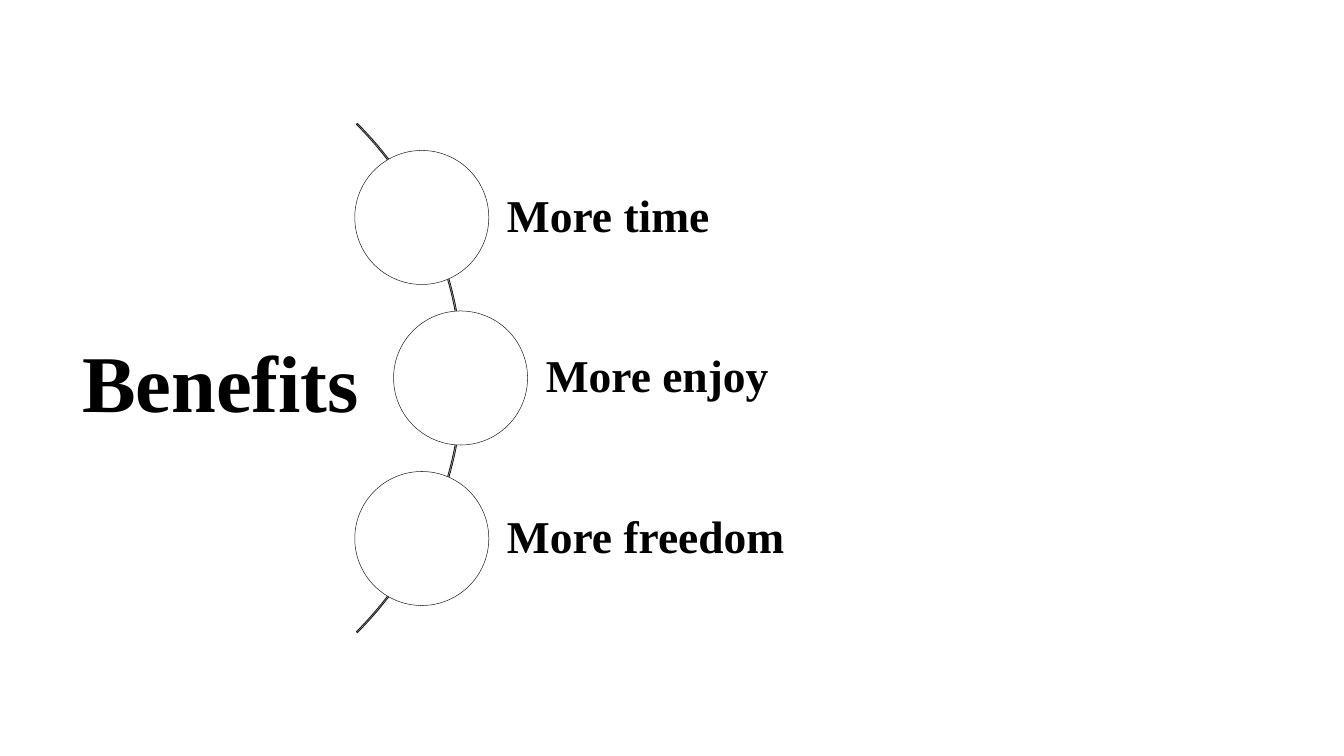
"""Build the Benefits slide: a title and three circles strung along an arc."""
from pptx import Presentation
from pptx.dml.color import RGBColor
from pptx.enum.shapes import MSO_SHAPE
from pptx.enum.text import MSO_ANCHOR, MSO_AUTO_SIZE, PP_ALIGN
from pptx.util import Inches, Pt

ARC, CIRCLE, BAR = MSO_SHAPE.BLOCK_ARC, MSO_SHAPE.OVAL, MSO_SHAPE.RECTANGLE
TOP, MIDDLE = MSO_ANCHOR.TOP, MSO_ANCHOR.MIDDLE
LEFT = PP_ALIGN.LEFT
NO_FIT = MSO_AUTO_SIZE.NONE

TITLE = "Benefits"
BENEFITS = ["More time", "More enjoy", "More freedom"]
FONT = "Times New Roman"
BLACK, WHITE, ARC_LINE, RING = "000000", "FFFFFF", "1A1A1A", "212121"

WIDTH, HEIGHT = 26.67, 15
MID_Y = HEIGHT / 2
ARC_SIZE, ARC_MID_X = 14.29, 2.04
CIRCLE_SIZE, BAR_HEIGHT, BAR_RIGHT = 2.66, 2.12, 25.18
ROW_PITCH = 3.185
OUTER_X, BULGE = 8.37, 0.77


def color(hex_code):
    return RGBColor.from_string(hex_code)


def add_part(slide, kind, mid_x, mid_y, width, height, fill=None, line=None, weight=0.75):
    part = slide.shapes.add_shape(
        kind, Inches(mid_x - width / 2), Inches(mid_y - height / 2), Inches(width), Inches(height))
    part.shadow.inherit = False
    if fill:
        part.fill.solid()
        part.fill.fore_color.rgb = color(fill)
    else:
        part.fill.background()
    if line:
        part.line.color.rgb = color(line)
        part.line.width = Pt(weight)
    else:
        part.line.fill.background()
    return part


def write(holder, words, size, anchor, wrap, insets):
    frame = holder.text_frame
    frame.auto_size = NO_FIT
    frame.word_wrap = wrap
    frame.vertical_anchor = anchor
    frame.margin_left, frame.margin_top, frame.margin_right, frame.margin_bottom = map(Inches, insets)
    paragraph = frame.paragraphs[0]
    paragraph.alignment = LEFT
    run = paragraph.add_run()
    run.text = words
    run.font.name, run.font.size, run.font.bold = FONT, Pt(size), True
    run.font.color.rgb = color(BLACK)
    return paragraph


def main():
    deck = Presentation()
    deck.slide_width, deck.slide_height = Inches(WIDTH), Inches(HEIGHT)
    slide = deck.slides.add_slide(deck.slide_layouts[5])

    title = slide.shapes.title
    title.left, title.top = Inches(1.53), Inches(6.48)
    title.width, title.height = Inches(5.81), Inches(2.04)
    write(title, TITLE, 115, TOP, False, (0.1, 0.1, 0.1, 0.1))

    arc = add_part(slide, ARC, ARC_MID_X, MID_Y, ARC_SIZE, ARC_SIZE, line=ARC_LINE, weight=1.25)
    for index, value in enumerate((189, 27, 0.002)):
        arc.adjustments[index] = value

    middle_row = (len(BENEFITS) - 1) / 2
    for row, benefit in enumerate(BENEFITS):
        offset = row - middle_row
        x = OUTER_X + BULGE * (1 - abs(offset))
        y = MID_Y + offset * ROW_PITCH
        bar = add_part(slide, BAR, (x + BAR_RIGHT) / 2, y, BAR_RIGHT - x, BAR_HEIGHT, fill=WHITE)
        label = write(bar, benefit, 65, MIDDLE, True, (1.69, 0.18, 0.18, 0.18))
        label.line_spacing = 0.9
        add_part(slide, CIRCLE, x, y, CIRCLE_SIZE, CIRCLE_SIZE, fill=WHITE, line=RING)

    deck.save("out.pptx")


if __name__ == "__main__":
    main()
